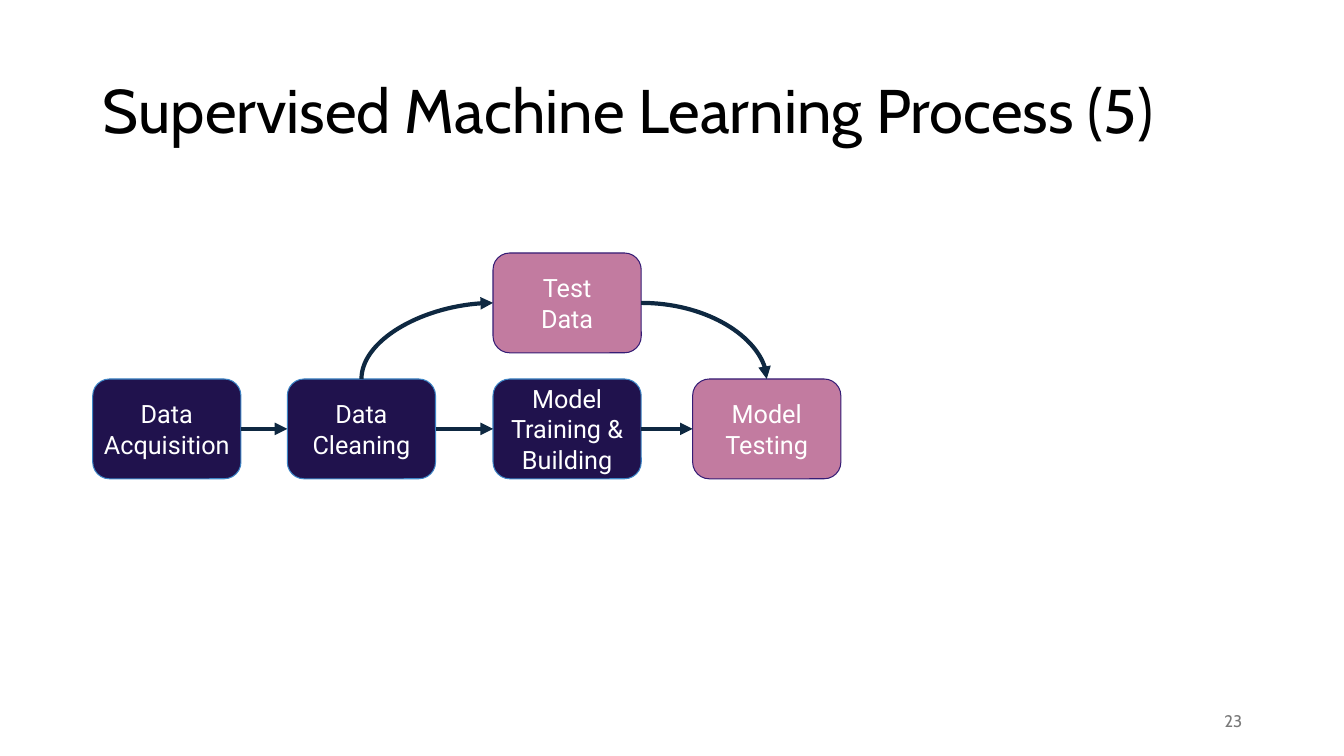
"""Build the slide on the supervised machine learning process."""
from pptx import Presentation
from pptx.dml.color import RGBColor
from pptx.enum import shapes as kinds, text as txt
from pptx.oxml.ns import qn
from pptx.util import Inches, Pt
from lxml import etree

TITLE = "Supervised Machine Learning Process (5)"
NUMBER = "23"
NAVY, PINK = ("20124D", "3D85C6"), ("C27BA0", "351C75")
WIDE, HIGH = 1.47, 0.99
LOW, UP = 3.76, 2.51
STEPS = {
    "acquire": (0.92, LOW, NAVY, ["Data", "Acquisition"]),
    "clean": (2.85, LOW, NAVY, ["Data", "Cleaning"]),
    "train": (4.89, LOW, NAVY, ["Model", "Training &", "Building"]),
    "test": (6.87, LOW, PINK, ["Model", "Testing"]),
    "data": (4.89, UP, PINK, ["Test", "Data"]),
}
TOP, LEFT, RIGHT = 0, 1, 3
LINKS = [
    ("acquire", RIGHT, "clean", LEFT),
    ("clean", RIGHT, "train", LEFT),
    ("train", RIGHT, "test", LEFT),
    ("clean", TOP, "data", LEFT),
    ("data", RIGHT, "test", TOP),
]


def color(code):
    return RGBColor.from_string(code)


def write(frame, lines, font, size, code, align):
    frame.word_wrap = True
    frame.vertical_anchor = txt.MSO_ANCHOR.MIDDLE
    for i, line in enumerate(lines):
        para = frame.add_paragraph() if i else frame.paragraphs[0]
        para.alignment = align
        run = para.add_run()
        run.text = line
        run.font.name, run.font.size = font, Pt(size)
        run.font.color.rgb = color(code)


def add_step(slide, left, top, look, lines):
    box = slide.shapes.add_shape(
        kinds.MSO_SHAPE.ROUNDED_RECTANGLE,
        *map(Inches, (left, top, WIDE, HIGH)))
    box.shadow.inherit = False
    fill, edge = look
    box.fill.solid()
    box.fill.fore_color.rgb = color(fill)
    box.line.color.rgb = color(edge)
    box.line.width = Pt(0.75)
    frame = box.text_frame
    frame.margin_left = frame.margin_right = 0
    frame.margin_top = frame.margin_bottom = 0
    write(frame, lines, "Roboto", 18, "FFFFFF", txt.PP_ALIGN.CENTER)
    return box


def bend(link, rise):
    props = link._element.spPr
    props.find(qn("a:prstGeom")).set("prst", "curvedConnector2")
    if rise:
        wide, high = link.width, link.height
        midx, midy = link.left + wide // 2, link.top + high // 2
        frame = props.find(qn("a:xfrm"))
        frame.attrib.pop("flipV", None)
        frame.set("rot", str(270 * 60000))
        link.left, link.top = midx - high // 2, midy - wide // 2
        link.width, link.height = high, wide


def add_link(slide, start, out, end, into):
    curved = TOP in (out, into)
    kind = kinds.MSO_CONNECTOR.CURVE if curved else kinds.MSO_CONNECTOR.STRAIGHT
    link = slide.shapes.add_connector(kind, 0, 0, 0, 0)
    link.begin_connect(start, out)
    link.end_connect(end, into)
    link.line.color.rgb = color("0E2841")
    link.line.width = Pt(3)
    if curved:
        bend(link, out == TOP)
    props = link._element.spPr
    etree.SubElement(props.find(qn("a:ln")), qn("a:tailEnd"), type="triangle")
    etree.SubElement(props, qn("a:effectLst"))


def main():
    deck = Presentation()
    deck.slide_width, deck.slide_height = Inches(13.33), Inches(7.5)
    slide = deck.slides.add_slide(deck.slide_layouts[5])
    title = slide.shapes.title
    title.left, title.top, title.width, title.height = map(
        Inches, (0.92, 0.4, 11.5, 1.45))
    write(title.text_frame, [TITLE], "Cabin", 44, "000000", txt.PP_ALIGN.LEFT)
    title.text_frame.paragraphs[0].line_spacing = 0.9
    boxes = {name: add_step(slide, *step) for name, step in STEPS.items()}
    for start, out, end, into in LINKS:
        add_link(slide, boxes[start], out, boxes[end], into)
    page = slide.shapes.add_textbox(*map(Inches, (9.42, 6.95, 3, 0.4)))
    write(page.text_frame, [NUMBER], "Cabin", 12, "797979", txt.PP_ALIGN.RIGHT)
    deck.save("out.pptx")


if __name__ == "__main__":
    main()
